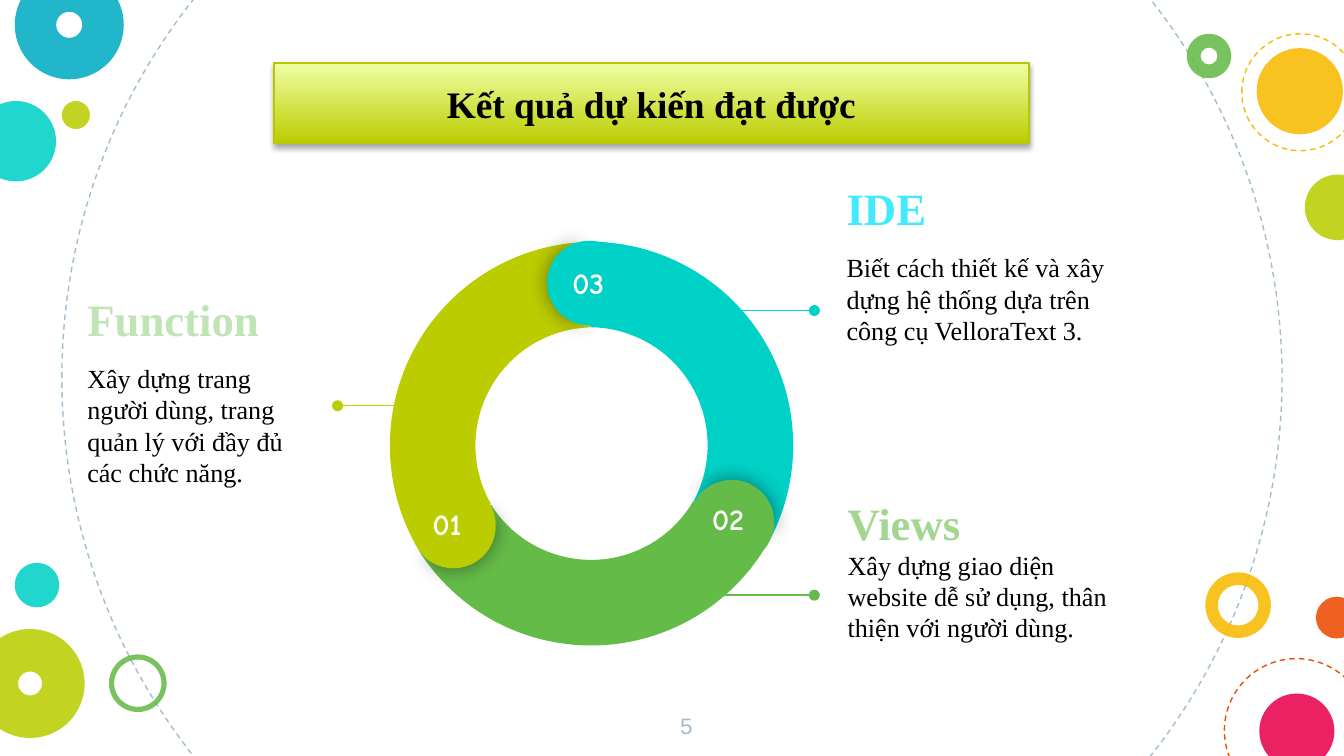
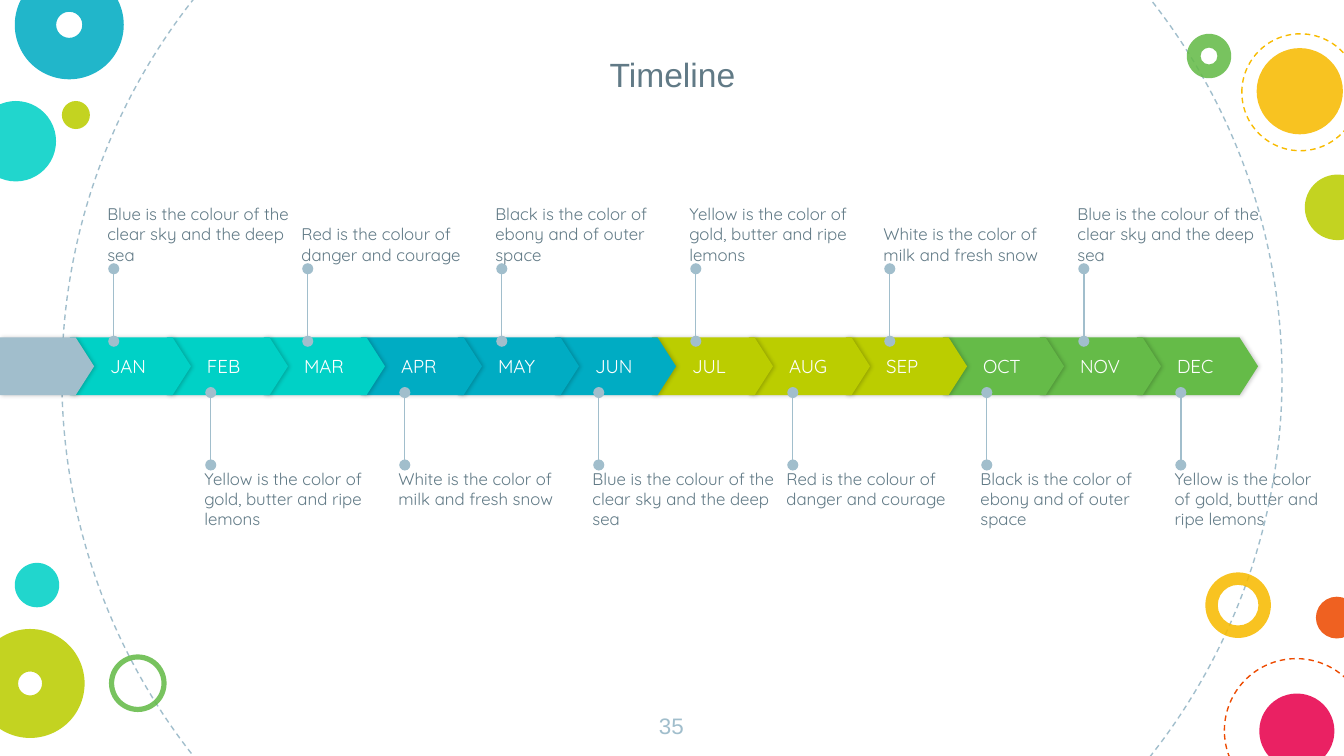
from dataclasses import dataclass
from typing import Optional

from lxml.etree import SubElement
from pptx import Presentation
from pptx.dml.color import RGBColor
from pptx.enum.dml import MSO_LINE
from pptx.enum.shapes import MSO_CONNECTOR, MSO_SHAPE
from pptx.enum.text import MSO_ANCHOR, PP_ALIGN
from pptx.oxml.ns import qn
from pptx.util import Cm, Pt


@dataclass(frozen=True)
class Theme:
    cyan: str = "00D1C6"
    blue: str = "00ACC3"
    lime: str = "BBCD00"
    green: str = "65BB48"
    yellow: str = "F8BB00"
    orange: str = "ED4A00"
    pink: str = "E8004C"
    mist: str = "A1BECC"
    slate: str = "617A86"
    pale_lime: str = "F0FFA5"
    title_border: str = "B7C800"
    ide_heading: str = "42E9FF"
    views_heading: str = "A3D691"
    function_heading: str = "C1E4B6"
    black: str = "000000"
    white: str = "FFFFFF"
    sans: str = "Arial"
    serif: str = "Times New Roman"
    rounded: str = "Quicksand"
    comic: str = "Comic Neue"
    heading_size: int = 24
    banner_size: int = 20
    title_size: int = 18
    step_size: int = 16
    body_size: int = 14
    number_size: int = 12
    month_size: int = 10
    note_size: int = 9


THEME = Theme()


@dataclass(frozen=True)
class Box:
    left: float
    top: float
    width: float
    height: float


@dataclass(frozen=True)
class TextStyle:
    font: str
    size: int
    color: str
    bold: bool = False


@dataclass(frozen=True)
class Shadow:
    alpha: int
    blur: float
    distance: float
    angle: int = 0


@dataclass(frozen=True)
class Bubble:
    left: float
    top: float
    size: float
    color: str
    hole: Optional[float] = None
    dashed: bool = False


@dataclass(frozen=True)
class RingStep:
    number: str
    color: str
    arc: Box
    arc_end: float
    thickness: float
    arc_rotation: int
    cap: Box
    cap_rotation: float
    label: Box


@dataclass(frozen=True)
class Callout:
    heading: str
    body: str
    color: str
    box: Box
    gap: int
    line_color: str
    line_start: float
    line_end: float
    line_y: float
    bottom_inset: float = 0.25


# Shared drawing functions

def add_shape(slide, kind, box: Box, fill: Optional[str] = None, adjustments=(),
              rotation: float = 0, shadow: Optional[Shadow] = None):
    shape = slide.shapes.add_shape(kind, Cm(box.left), Cm(box.top), Cm(box.width), Cm(box.height))
    for index, value in enumerate(adjustments):
        shape.adjustments[index] = value
    shape.rotation = rotation
    shape.shadow.inherit = False
    shape.line.fill.background()
    if fill:
        shape.fill.solid()
        shape.fill.fore_color.rgb = RGBColor.from_string(fill)
    else:
        shape.fill.background()
    if shadow:
        effects = shape.element.spPr.find(qn("a:effectLst"))
        outer = SubElement(effects, qn("a:outerShdw"), blurRad=str(Pt(shadow.blur)),
                           dist=str(Pt(shadow.distance)), dir=str(shadow.angle * 60000),
                           algn="ctr", rotWithShape="0")
        color = SubElement(outer, qn("a:srgbClr"), val=THEME.black)
        SubElement(color, qn("a:alpha"), val=str(shadow.alpha * 1000))
    return shape


def set_line(line, color: str) -> None:
    line.color.rgb = RGBColor.from_string(color)
    line.width = Pt(0.75)


def style_paragraph(paragraph, style: TextStyle, align=PP_ALIGN.LEFT) -> None:
    paragraph.alignment = align
    for run in paragraph.runs:
        run.font.name = style.font
        run.font.size = Pt(style.size)
        run.font.bold = style.bold
        run.font.color.rgb = RGBColor.from_string(style.color)


def set_text(shape, text: str, style: TextStyle, align=PP_ALIGN.LEFT,
             anchor=MSO_ANCHOR.TOP, insets=(0.25, 0.25, 0.25, 0.25)):
    frame = shape.text_frame
    frame.text = text
    frame.word_wrap = True
    frame.vertical_anchor = anchor
    frame.margin_left, frame.margin_top, frame.margin_right, frame.margin_bottom = map(Cm, insets)
    style_paragraph(frame.paragraphs[0], style, align)
    return frame


def add_text(slide, box: Box, text: str, style: TextStyle, **layout):
    shape = slide.shapes.add_textbox(Cm(box.left), Cm(box.top), Cm(box.width), Cm(box.height))
    return set_text(shape, text, style, **layout)


def add_dotted_line(slide, start: tuple, end: tuple, color: str, ends=("tailEnd",)) -> None:
    connector = slide.shapes.add_connector(MSO_CONNECTOR.STRAIGHT, *map(Cm, start + end))
    set_line(connector.line, color)
    outline = connector.element.spPr.find(qn("a:ln"))
    for name in ends:
        SubElement(outline, qn(f"a:{name}"), type="oval")
    SubElement(connector.element.spPr, qn("a:effectLst"))


def add_slide_number(slide, number: str, align) -> None:
    add_text(slide, Box(12.04, 13.21, 1.3, 1.09), number,
             TextStyle(THEME.sans, THEME.number_size, THEME.mist), align=align)


# Background bubbles, shared through the blank layout

BUBBLES = (
    Bubble(1.17, -4.39, 23.06, THEME.mist, dashed=True),
    Bubble(-0.46, 1.91, 1.52, THEME.cyan),
    Bubble(22.78, 10.82, 1.24, THEME.yellow, hole=0.19),
    Bubble(0.28, -0.56, 2.06, THEME.blue, hole=0.38),
    Bubble(1.17, 1.91, 0.53, THEME.lime),
    Bubble(23.14, 12.45, 2.72, THEME.orange, dashed=True),
    Bubble(2.06, 12.37, 1.09, THEME.green, hole=0.09),
    Bubble(24.87, 11.28, 0.79, THEME.orange),
    Bubble(-0.46, 11.89, 2.06, THEME.lime, hole=0.39),
    Bubble(23.8, 13.11, 1.42, THEME.pink),
    Bubble(22.43, 0.64, 0.84, THEME.green, hole=0.31),
    Bubble(23.75, 0.91, 1.63, THEME.yellow),
    Bubble(24.66, 3.3, 1.24, THEME.lime),
    Bubble(23.47, 0.64, 2.21, THEME.yellow, dashed=True),
    Bubble(0.28, 10.64, 0.84, THEME.cyan),
)


def add_background(slide) -> None:
    """Draw the bubbles and move them to the layout, so that every slide shows them."""
    layout = slide.slide_layout
    for placeholder in list(layout.placeholders):
        layout.shapes.element.remove(placeholder.element)
    for bubble in BUBBLES:
        kind = MSO_SHAPE.OVAL if bubble.hole is None else MSO_SHAPE.DONUT
        shape = add_shape(slide, kind, Box(bubble.left, bubble.top, bubble.size, bubble.size),
                          None if bubble.dashed else bubble.color,
                          () if bubble.hole is None else (bubble.hole,))
        if bubble.dashed:
            set_line(shape.line, bubble.color)
            shape.line.dash_style = MSO_LINE.DASH
        else:
            color = shape.element.spPr.find(qn("a:solidFill")).find(qn("a:srgbClr"))
            SubElement(color, qn("a:alpha"), val="87000")
        layout.shapes.element.append(shape.element)


# Expected results: ring with three steps

RING_STEPS = (
    RingStep("03", THEME.cyan, Box(7.29, 4.57, 7.7, 7.7), 197.82, 0.21, 60,
             Box(10.34, 4.55, 1.6, 1.6), 0.7, Box(10.52, 4.75, 1.42, 0.74)),
    RingStep("02", THEME.green, Box(7.32, 4.5, 7.7, 7.7), 196.63, 0.21, 180,
             Box(13.03, 9.07, 1.6, 1.6), 120.7, Box(13.16, 9.22, 1.42, 0.74)),
    RingStep("01", THEME.lime, Box(7.37, 4.57, 7.7, 7.7), 197.03, 0.21, 300,
             Box(7.77, 9.14, 1.6, 1.6), 240.6, Box(7.85, 9.3, 1.42, 0.74)),
)
CALLOUTS = (
    Callout("Function", "Xây dựng trang người dùng, trang quản lý với đầy đủ các chức năng.",
            THEME.function_heading, Box(1.4, 5.36, 4.67, 4.01), 9, THEME.lime, 7.54, 6.38, 7.67),
    Callout("IDE", "Biết cách thiết kế và xây dựng hệ thống dựa trên công cụ VelloraText 3.",
            THEME.ide_heading, Box(15.75, 2.82, 5.72, 4.32), 9, THEME.cyan, 12.95, 15.39, 5.87),
    Callout("Views", "Xây dựng giao diện website dễ sử dụng, thân thiện với người dùng.",
            THEME.views_heading, Box(15.77, 8.76, 5.69, 4.32), 0, THEME.green, 12.95, 15.39, 11.25,
            bottom_inset=0.57),
)


def build_results(slide) -> None:
    add_slide_number(slide, "5", PP_ALIGN.RIGHT)

    # Title banner
    banner = add_shape(slide, MSO_SHAPE.RECTANGLE, Box(5.18, 1.19, 14.27, 1.52),
                       shadow=Shadow(35, 3.1, 1.8, 90))
    banner.fill.gradient()
    banner.fill.gradient_angle = 90
    for stop, color in zip(banner.fill.gradient_stops, (THEME.lime, THEME.pale_lime)):
        stop.color.rgb = RGBColor.from_string(color)
    set_line(banner.line, THEME.title_border)
    set_text(banner, "Kết quả dự kiến đạt được",
             TextStyle(THEME.serif, THEME.banner_size, THEME.black, True),
             align=PP_ALIGN.CENTER, anchor=MSO_ANCHOR.MIDDLE, insets=(0, 0, 0, 0))

    # Callouts
    for callout in CALLOUTS:
        add_dotted_line(slide, (callout.line_start, callout.line_y),
                        (callout.line_end, callout.line_y), callout.line_color)
        frame = add_text(slide, callout.box, callout.heading,
                         TextStyle(THEME.serif, THEME.heading_size, callout.color, True),
                         anchor=MSO_ANCHOR.MIDDLE,
                         insets=(0.25, 0.25, 0.25, callout.bottom_inset))
        paragraph = frame.add_paragraph()
        paragraph.text = callout.body
        paragraph.space_before = Pt(callout.gap)
        style_paragraph(paragraph, TextStyle(THEME.serif, THEME.body_size, THEME.black))

    # Ring: arcs first, then the round caps over the joints
    for step in RING_STEPS:
        add_shape(slide, MSO_SHAPE.BLOCK_ARC, step.arc, step.color,
                  (126.23, step.arc_end, step.thickness), step.arc_rotation)
    for step in RING_STEPS:
        add_shape(slide, MSO_SHAPE.PIE, step.cap, step.color, (61.9, 149.96),
                  step.cap_rotation, Shadow(43, 11.2, 0))
        add_shape(slide, MSO_SHAPE.PIE, step.cap, step.color, (40.28, 171.84),
                  (step.arc_rotation + 120) % 360)
        add_text(slide, step.label, step.number,
                 TextStyle(THEME.comic, THEME.step_size, THEME.white, True),
                 align=PP_ALIGN.CENTER, insets=(0.14, 0.25, 0.36, 0.25))


# Timeline: one arrow a month, notes above and below in turn

MONTHS = ("JAN", "FEB", "MAR", "APR", "MAY", "JUN", "JUL", "AUG", "SEP", "OCT", "NOV", "DEC")
QUARTER_COLORS = (THEME.cyan, THEME.blue, THEME.lime, THEME.green)
BLUE = "Blue is the colour of the clear sky and the deep sea"
YELLOW = "Yellow is the color of gold, butter and ripe lemons"
RED = "Red is the colour of danger and courage"
WHITE = "White is the color of milk and fresh snow"
BLACK = "Black is the color of ebony and of outer space"
NOTES = (BLUE, YELLOW, RED, WHITE, BLACK, BLUE, YELLOW, RED, WHITE, BLACK, BLUE, YELLOW)
MONTH_PITCH = 22 / len(MONTHS)
NOTE_WIDTH = 3.48
NOTE_RIGHT_LIMIT = 25.07


def add_month_arrow(slide, left: float, width: float, color: str):
    return add_shape(slide, MSO_SHAPE.PENTAGON, Box(left, 6.38, width, 1.09), color, (0.32,),
                     shadow=Shadow(20, 2.2, 0.8))


def build_timeline(slide) -> None:
    add_text(slide, Box(5.38, 0.25, 14.66, 1.78), "Timeline",
             TextStyle(THEME.sans, THEME.title_size, THEME.slate),
             align=PP_ALIGN.CENTER, anchor=MSO_ANCHOR.BOTTOM)
    add_slide_number(slide, "35", PP_ALIGN.CENTER)

    # Arrows, last month first so that each one overlaps the next
    for index, month in reversed(list(enumerate(MONTHS))):
        arrow = add_month_arrow(slide, 1.32 + index * MONTH_PITCH, 2.29, QUARTER_COLORS[index // 3])
        set_text(arrow, month, TextStyle(THEME.rounded, THEME.month_size, THEME.white),
                 anchor=MSO_ANCHOR.MIDDLE, insets=(0.76, 0, 0, 0))
    add_month_arrow(slide, 0, 1.78, THEME.mist)

    # Notes with their stems
    for index, note in enumerate(NOTES):
        above = index % 2 == 0
        offset = index * MONTH_PITCH
        stem_x, note_left = 2.15 + offset, 2.03 + offset
        stem_start, stem_end, note_top = (6.45, 5.08, 3.53) if above else (8.79, 7.42, 8.86)
        add_dotted_line(slide, (stem_x, stem_start), (stem_x, stem_end), THEME.mist,
                        ("headEnd", "tailEnd"))
        width = min(NOTE_WIDTH, NOTE_RIGHT_LIMIT - note_left)
        add_text(slide, Box(note_left, note_top, width, 1.47), note,
                 TextStyle(THEME.rounded, THEME.note_size, THEME.slate),
                 anchor=MSO_ANCHOR.BOTTOM if above else MSO_ANCHOR.TOP, insets=(0, 0, 0, 0))


def main() -> None:
    presentation = Presentation()
    presentation.slide_width, presentation.slide_height = Cm(25.4), Cm(14.29)
    blank = presentation.slide_layouts[6]
    results = presentation.slides.add_slide(blank)
    add_background(results)
    build_results(results)
    build_timeline(presentation.slides.add_slide(blank))
    presentation.save("out.pptx")


if __name__ == "__main__":
    main()
